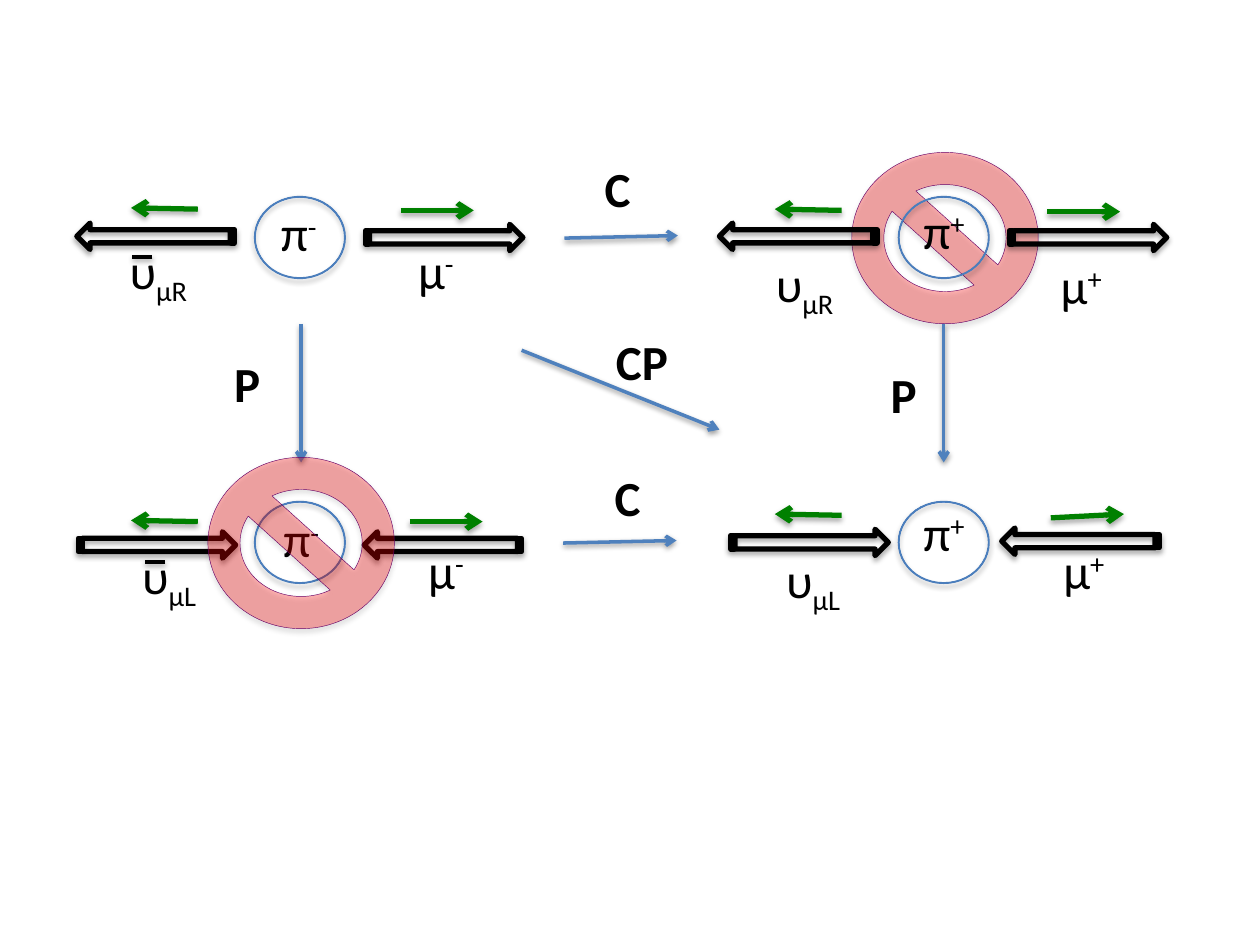
from dataclasses import dataclass

from lxml import etree
from pptx import Presentation
from pptx.dml.color import RGBColor
from pptx.enum.shapes import MSO_CONNECTOR, MSO_SHAPE
from pptx.enum.text import MSO_AUTO_SIZE
from pptx.oxml.ns import qn
from pptx.util import Inches, Pt

STRAIGHT = MSO_CONNECTOR.STRAIGHT
RING, BAN, MOMENTUM = MSO_SHAPE.DONUT, MSO_SHAPE.NO_SYMBOL, MSO_SHAPE.STRIPED_RIGHT_ARROW
GROW = MSO_AUTO_SIZE.SHAPE_TO_FIT_TEXT

BLACK, GREEN, BLUE = "000000", "008000", "4F81BD"
COLUMNS = (2.02, 7.13)
ROWS = (1.56, 3.98)
LABEL_HEIGHT = 0.57


@dataclass
class Decay:
    """One pion decay; positions are offsets from its grid cell."""
    column: int
    row: int
    charge: str
    hand: str
    antineutrino: bool
    inward: bool
    left_arrow: tuple
    right_arrow: tuple
    left_spin: tuple
    right_spin: tuple
    pion: tuple
    neutrino: tuple
    muon: tuple
    spin_rise: float = 0

    def place(self, offset):
        """Turn an offset into a slide position in inches."""
        return COLUMNS[self.column] + offset[0], ROWS[self.row] + offset[1]


DECAYS = (
    Decay(0, 0, "-", "R", True, False, (-1.41, 0.21), (0.88, 0.22), (-0.45, 0.1),
          (1.16, 0.11), (0.11, 0), (-1.09, 0.3), (1.2, 0.3)),
    Decay(1, 0, "+", "R", False, False, (-1.42, 0.21), (0.88, 0.22), (-0.45, 0.11),
          (1.18, 0.12), (0.1, -0.02), (-1.07, 0.4), (1.19, 0.42)),
    Decay(0, 1, "-", "L", True, True, (-1.4, 0.24), (0.87, 0.24), (-0.45, 0.16),
          (1.23, 0.16), (0.13, 0.01), (-0.99, 0.3), (1.28, 0.26)),
    Decay(1, 1, "+", "L", False, True, (-1.33, 0.22), (0.82, 0.21), (-0.45, 0.11),
          (1.21, 0.13), (0.1, -0.04), (-0.99, 0.33), (1.21, 0.26), -0.03),
)
# start, end, label, label position, label width
TRANSFORMS = (
    ((4.48, 1.89), (5.38, 1.87), "C", (4.7, 1.21), 0.41),
    ((4.47, 4.31), (5.37, 4.29), "C", (4.78, 3.66), 0.41),
    ((2.39, 2.57), (2.39, 3.67), "P", (1.76, 2.76), 0.41),
    ((7.49, 2.57), (7.49, 3.67), "P", (6.97, 2.84), 0.41),
    ((4.14, 2.78), (5.71, 3.41), "CP", (4.79, 2.58), 0.62),
)


def color(value):
    """Make a colour from a hex string."""
    return RGBColor.from_string(value)


def add_shadow(element, distance=1.8, opacity=35):
    """Give a shape or connector element a soft shadow below it."""
    properties = element.spPr
    effects = properties.find(qn("a:effectLst"))
    if effects is None:
        effects = etree.SubElement(properties, qn("a:effectLst"))
    shadow = etree.SubElement(effects, qn("a:outerShdw"), blurRad=str(Pt(3.1)),
                              dist=str(Pt(distance)), dir="5400000", rotWithShape="0")
    tint = etree.SubElement(shadow, qn("a:srgbClr"), val=BLACK)
    etree.SubElement(tint, qn("a:alpha"), val=str(opacity * 1000))


def add_outline(slide, kind, position, size, line, width):
    """Add an unfilled preset shape with a shadow."""
    shape = slide.shapes.add_shape(kind, *map(Inches, position + size))
    shape.shadow.inherit = False
    shape.fill.background()
    shape.line.color.rgb = color(line)
    shape.line.width = Pt(width)
    add_shadow(shape._element)
    return shape


def add_line(slide, start, end, line, width, head=True, **shadow):
    """Add a straight line, with an open arrowhead at its end if wanted."""
    connector = slide.shapes.add_connector(STRAIGHT, *map(Inches, start + end))
    connector.line.color.rgb = color(line)
    connector.line.width = Pt(width)
    if head:
        etree.SubElement(connector.line._get_or_add_ln(), qn("a:tailEnd"), type="arrow")
    add_shadow(connector._element, **shadow)


def add_label(slide, text, position, width, script="", baseline=0, bold=False, wrap=False):
    """Add a label, optionally followed by a raised or lowered script."""
    box = slide.shapes.add_textbox(*map(Inches, position + (width, LABEL_HEIGHT)))
    frame = box.text_frame
    frame.word_wrap = wrap
    frame.auto_size = GROW
    for part, shift in ((text, 0), (script, baseline)):
        if part:
            run = frame.paragraphs[0].add_run()
            run.text = part
            run.font.size = Pt(28)
            run.font.name = "Calibri"
            run.font.bold = bold
            run.font.color.rgb = color(BLACK)
            if shift:
                run.font._element.set("baseline", str(shift * 1000))


def add_ban(slide, decay):
    """Cover a forbidden decay with a translucent prohibition sign."""
    ban = add_outline(slide, BAN, decay.place((-0.37, -0.35)), (1.48, 1.36), "660066", 0.25)
    ban.fill.solid()
    ban.fill.fore_color.rgb = color("FF0000")
    tint = ban._element.spPr.find(qn("a:solidFill"))[0]
    etree.SubElement(tint, qn("a:alpha"), val="30000")


def add_pion_ring(slide, decay):
    """Draw the thin gradient ring around the pion."""
    ring = add_outline(slide, RING, decay.place((0, 0)), (0.72, 0.65), "4B7EBC", 0.75)
    ring.adjustments[0] = 0.007
    ring.fill.gradient()
    ring.fill.gradient_angle = 90
    for stop, tint in zip(ring.fill.gradient_stops, ("3F80CE", "A4C4FF")):
        stop.color.rgb = color(tint)


def add_decay(slide, decay):
    """Draw a pion with its momentum arrows, spin arrows and particle names."""
    add_pion_ring(slide, decay)
    for offset, points_left in ((decay.left_arrow, not decay.inward),
                                (decay.right_arrow, decay.inward)):
        arrow = add_outline(slide, MOMENTUM, decay.place(offset), (1.25, 0.21), BLACK, 3)
        arrow.rotation = 180 if points_left else 0
    for offset, run, rise in ((decay.left_spin, -0.53, -0.01),
                              (decay.right_spin, 0.58, decay.spin_rise)):
        x, y = decay.place(offset)
        add_line(slide, (x, y), (x + run, y + rise), GREEN, 3)

    add_label(slide, "π", decay.place(decay.pion), 0.58, decay.charge, 30, wrap=True)
    muon_width = 0.5 if decay.charge == "-" else 0.55
    add_label(slide, "μ", decay.place(decay.muon), muon_width, decay.charge, 30)
    x, y = decay.place(decay.neutrino)
    neutrino_width = 0.7 if decay.hand == "R" else 0.67
    add_label(slide, "υ", (x, y), neutrino_width, "μ" + decay.hand, -25)
    if decay.antineutrino:
        add_line(slide, (x + 0.28, y + 0.18), (x + 0.12, y + 0.18), BLACK, 2,
                 head=False, distance=1.6, opacity=38)


def main():
    """Build the slide of pion decays under C, P and CP."""
    deck = Presentation()
    deck.slide_width, deck.slide_height = Inches(10), Inches(7.5)
    slide = deck.slides.add_slide(deck.slide_layouts[6])
    charge_flipped, parity_flipped = DECAYS[1], DECAYS[2]

    add_ban(slide, charge_flipped)
    for decay in DECAYS:
        add_decay(slide, decay)
    for start, end, name, position, width in TRANSFORMS:
        add_line(slide, start, end, BLUE, 2, distance=1.6, opacity=38)
        add_label(slide, name, position, width, bold=True)
    add_ban(slide, parity_flipped)
    deck.save("out.pptx")


main()
